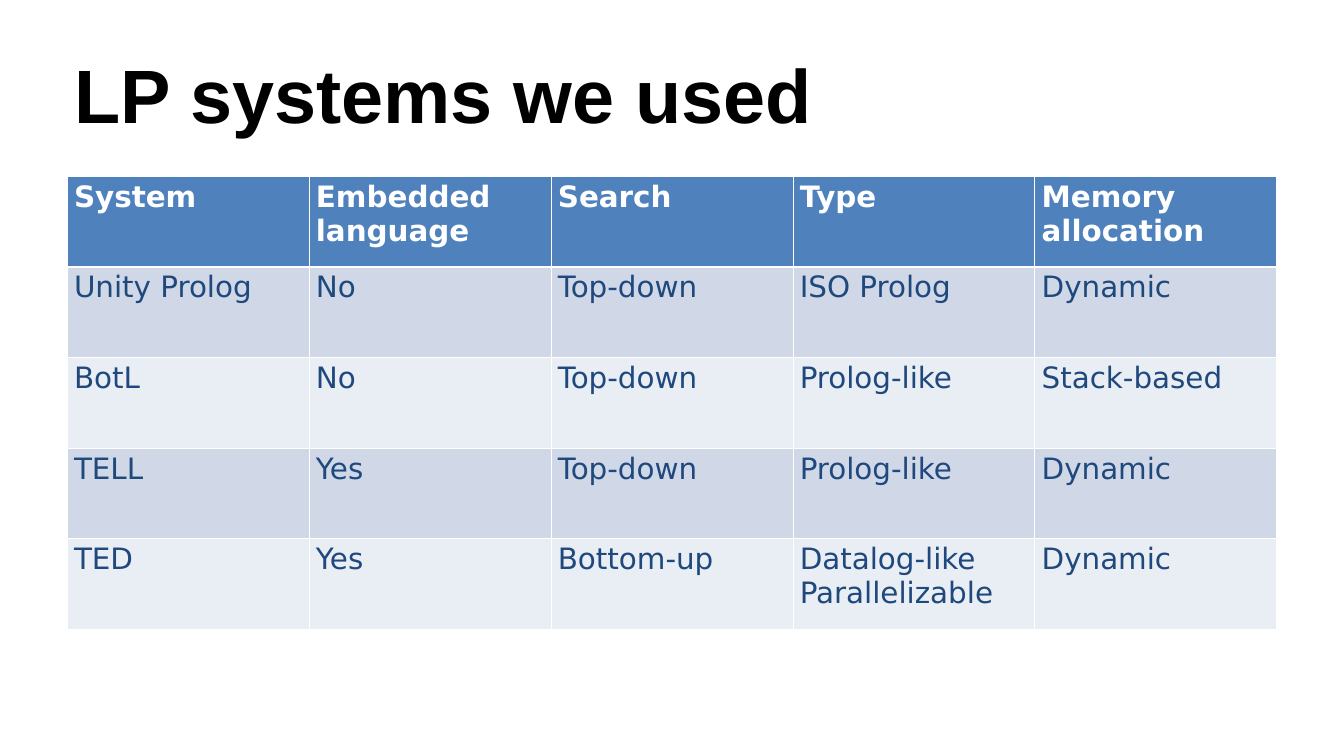
from pptx import Presentation
from pptx.dml.color import RGBColor
from pptx.enum import text
from pptx.oxml import parse_xml
from pptx.oxml.ns import nsdecls
from pptx.util import Pt

theme = {
    "title": "000000", "head": "4F81BD", "light": "FFFFFF", "ink": "1F497D",
    "bands": ["D0D8E8", "E9EDF4"],
    "big": 72, "small": 28, "sans": "Arial", "body": "DejaVu Sans",
}

rows = [
    ["System", "Embedded language", "Search", "Type", "Memory allocation"],
    ["Unity Prolog", "No", "Top-down", "ISO Prolog", "Dynamic"],
    ["BotL", "No", "Top-down", "Prolog-like", "Stack-based"],
    ["TELL", "Yes", "Top-down", "Prolog-like", "Dynamic"],
    ["TED", "Yes", "Bottom-up", "Datalog-like\nParallelizable", "Dynamic"],
]


def style(frame, face, size, color, bold):
    for para in frame.paragraphs:
        para.alignment = text.PP_ALIGN.LEFT
        for run in para.runs:
            run.font.name = face
            run.font.size = Pt(size)
            run.font.bold = bold
            run.font.color.rgb = RGBColor.from_string(color)


def edge(cell, side, width):
    cell._tc.get_or_add_tcPr().append(parse_xml(
        f'<a:ln{side} {nsdecls("a")} w="{Pt(width)}"><a:solidFill>'
        f'<a:srgbClr val="{theme["light"]}"/></a:solidFill></a:ln{side}>'))


deck = Presentation()
deck.slide_width, deck.slide_height = Pt(1280), Pt(720)
slide = deck.slides.add_slide(deck.slide_layouts[5])

for holder in list(slide.placeholders):
    if holder != slide.shapes.title:
        holder.element.getparent().remove(holder.element)

left, top, width = 64, 168, 1152
title = slide.shapes.title
title.left, title.top, title.width, title.height = Pt(left), Pt(9.4), Pt(width), Pt(158.4)
frame = title.text_frame
frame.text = "LP systems we used"
frame.word_wrap = True
frame.auto_size = text.MSO_AUTO_SIZE.NONE
frame.vertical_anchor = text.MSO_ANCHOR.MIDDLE
frame.margin_left = frame.margin_right = frame.margin_top = frame.margin_bottom = Pt(6.5)
style(frame, theme["sans"], theme["big"], theme["title"], True)

high = 86.3
grid = slide.shapes.add_table(
    len(rows), len(rows[0]), Pt(left), Pt(top), Pt(width), Pt(high * len(rows))).table
for col in grid.columns:
    col.width = Pt(width / len(rows[0]))

for r, row in enumerate(rows):
    grid.rows[r].height = Pt(high)
    head = r == 0
    fill = theme["head"] if head else theme["bands"][(r - 1) % 2]
    color = theme["light"] if head else theme["ink"]
    for c, words in enumerate(row):
        cell = grid.cell(r, c)
        cell.margin_left = cell.margin_right = Pt(6.5)
        cell.text_frame.text = words
        style(cell.text_frame, theme["body"], theme["small"], color, head)
        for side in "LRTB":
            thick = (head and side == "B") or (r == 1 and side == "T")
            edge(cell, side, 3 if thick else 1)
        cell.fill.solid()
        cell.fill.fore_color.rgb = RGBColor.from_string(fill)

deck.save("out.pptx")
